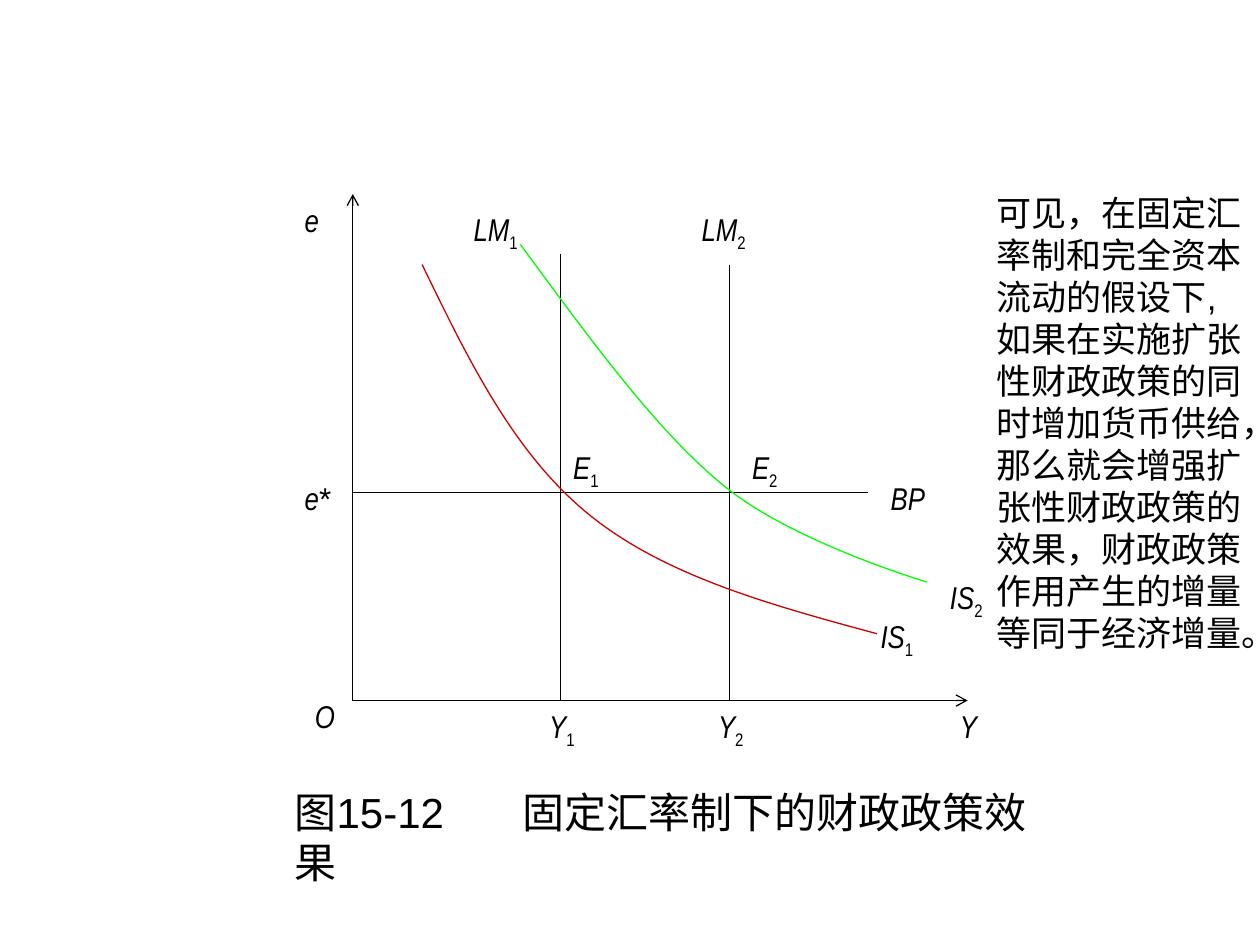
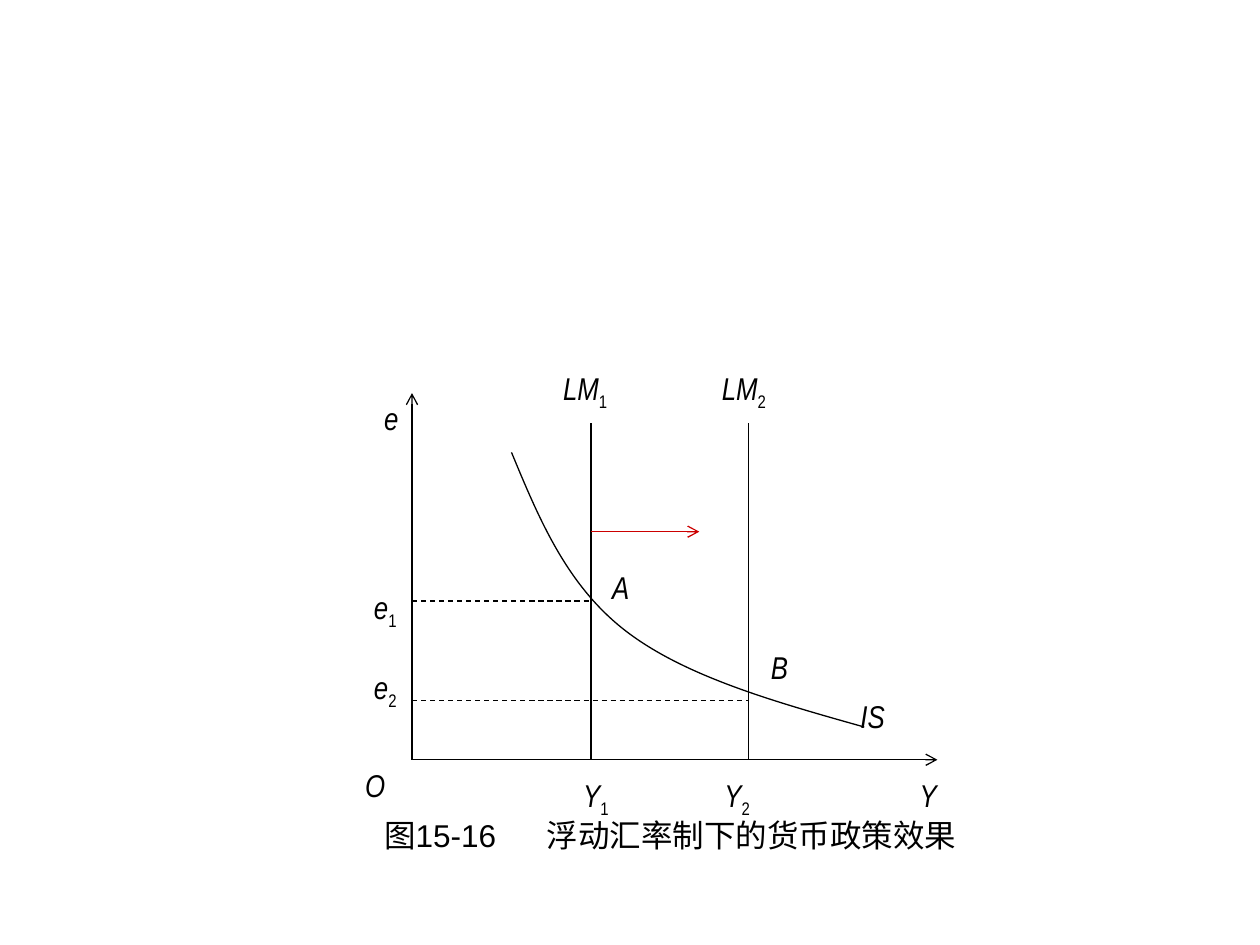
from dataclasses import dataclass

from lxml.etree import SubElement
from pptx import Presentation
from pptx.dml.color import RGBColor
from pptx.enum.dml import MSO_LINE
from pptx.enum.shapes import MSO_CONNECTOR
from pptx.enum.text import MSO_AUTO_SIZE
from pptx.oxml.ns import qn
from pptx.util import Emu, Pt

EMU_PER_PX = 9144


@dataclass(frozen=True)
class Theme:
    black: RGBColor = RGBColor(0x00, 0x00, 0x00)
    red: RGBColor = RGBColor(0xCC, 0x00, 0x00)
    green: RGBColor = RGBColor(0x00, 0xFF, 0x00)
    body_font: str = "Arial"
    label_font: str = "Arial Narrow"
    label_size: int = 18
    body_size: int = 20
    caption_size: int = 24
    line_width: float = 0.75


@dataclass(frozen=True)
class Box:
    left: int
    top: int
    width: int
    height: int

    def point(self, x, y):
        return px(self.left + x), px(self.top + y)


THEME = Theme()


def px(length):
    return Emu(length * EMU_PER_PX)


def add_text_frame(page, box):
    shape = page.shapes.add_textbox(*box.point(0, 0), px(box.width), px(box.height))
    frame = shape.text_frame
    frame.word_wrap = True
    frame.auto_size = MSO_AUTO_SIZE.SHAPE_TO_FIT_TEXT
    return frame


def style_para(para, name, size):
    para.font.name = name
    para.font.size = Pt(size)
    para.font.color.rgb = THEME.black


def add_body(page, box, text, size, tab=None):
    para = add_text_frame(page, box).paragraphs[0]
    para.text = text
    if tab:
        tabs = SubElement(para._p.get_or_add_pPr(), qn("a:tabLst"))
        SubElement(tabs, qn("a:tab"), pos=str(px(tab)), algn="l")
    style_para(para, THEME.body_font, size)


def add_label(page, plot, x, y, width, symbol, mark=""):
    box = Box(plot.left + x, plot.top + y, width, 44 if mark.isdigit() else 40)
    para = add_text_frame(page, box).paragraphs[0]
    style_para(para, THEME.label_font, THEME.label_size)
    span = para.add_run()
    span.text = symbol
    span.font.italic = True
    if mark:
        span = para.add_run()
        span.text = mark
        if mark.isdigit():
            span._r.get_or_add_rPr().set("baseline", "-25000")
        else:
            span.font.name = THEME.body_font


def style_line(line, color):
    line.color.rgb = color
    line.width = Pt(THEME.line_width)


def add_line(page, plot, start, end, color=THEME.black, arrow=False, dashed=False):
    connector = page.shapes.add_connector(
        MSO_CONNECTOR.STRAIGHT, *plot.point(*start), *plot.point(*end))
    style_line(connector.line, color)
    if dashed:
        connector.line.dash_style = MSO_LINE.DASH
    if arrow:
        SubElement(connector.line._get_or_add_ln(), qn("a:tailEnd"), type="arrow")
    SubElement(connector._element.spPr, qn("a:effectLst"))


def add_curve(page, plot, points, color=THEME.black):
    start, *rest = [plot.point(*point) for point in points]
    builder = page.shapes.build_freeform(*start)
    builder.add_line_segments(rest, close=False)
    curve = builder.convert_to_shape()
    segments = list(curve._element.iter(qn("a:lnTo")))
    outline = segments[0].getparent()
    for first in range(0, len(segments), 3):
        bezier = SubElement(outline, qn("a:cubicBezTo"))
        for segment in segments[first:first + 3]:
            bezier.append(segment[0])
            outline.remove(segment)
    curve.fill.background()
    curve.shadow.inherit = False
    style_line(curve.line, color)


def add_axes(page, plot):
    origin = (0, plot.height)
    add_line(page, plot, origin, (plot.width, plot.height), arrow=True)
    add_line(page, plot, origin, (0, 0), arrow=True)


def add_money_lines(page, plot, lines):
    for x, top in lines:
        add_line(page, plot, (x, top), (x, plot.height))


def add_labels(page, plot, labels):
    for label in labels:
        add_label(page, plot, *label)


def add_fiscal_plot(page, plot):
    add_axes(page, plot)
    add_line(page, plot, (0, 237), (409, 237))
    add_money_lines(page, plot, [(165, 48), (299, 56)])
    add_curve(page, plot, [(133, 40), (187, 113), (240, 187), (294, 231),
                           (348, 276), (456, 308), (456, 308)], THEME.green)
    add_curve(page, plot, [(55, 56), (91, 130), (127, 205), (187, 254),
                           (247, 303), (331, 326), (416, 349)], THEME.red)
    add_labels(page, plot, [
        (146, 402, 55, "Y", "1"),
        (280, 402, 55, "Y", "2"),
        (-40, 394, 39, "O"),
        (472, 402, 55, "Y"),
        (-48, 1, 31, "e"),
        (-48, 221, 47, "e", "*"),
        (417, 221, 87, "BP"),
        (409, 331, 47, "IS", "1"),
        (464, 300, 71, "IS", "2"),
        (86, 8, 71, "LM", "1"),
        (267, 8, 71, "LM", "2"),
        (165, 197, 55, "E", "1"),
        (307, 197, 55, "E", "2"),
    ])


def add_monetary_plot(page, plot):
    add_axes(page, plot)
    add_money_lines(page, plot, [(142, 24), (267, 24)])
    add_curve(page, plot, [(79, 47), (101, 100), (123, 153), (170, 189),
                           (217, 225), (288, 245), (359, 265)])
    add_line(page, plot, (142, 110), (228, 110), THEME.red, arrow=True)
    for x, y in [(142, 165), (267, 244)]:
        add_line(page, plot, (0, y), (x, y), dashed=True)
    add_labels(page, plot, [
        (-47, 291, 79, "O"),
        (393, 299, 55, "Y"),
        (-32, 0, 31, "e"),
        (-40, 213, 47, "e", "2"),
        (-40, 150, 47, "e", "1"),
        (346, 236, 55, "IS"),
        (110, -24, 79, "LM", "1"),
        (236, -24, 71, "LM", "2"),
        (126, 299, 55, "Y", "1"),
        (238, 299, 55, "Y", "2"),
        (149, 134, 39, "A"),
        (275, 197, 39, "B"),
    ])


def add_fiscal_slide(page):
    add_fiscal_plot(page, Box(280, 154, 488, 402))
    add_body(page, Box(224, 619, 630, 130), "图15-12\t固定汇率制下的财政政策效果",
             THEME.caption_size, tab=181)
    add_body(page, Box(781, 147, 219, 377),
             "可见，在固定汇率制和完全资本流动的假设下,如果在实施扩张性财政政策的同时"
             "增加货币供给，那么就会增强扩张性财政政策的效果，财政政策作用产生的增量"
             "等同于经济增量。", THEME.body_size)


def add_monetary_slide(page):
    add_monetary_plot(page, Box(327, 312, 417, 291))
    add_body(page, Box(295, 643, 480, 70), "图15-16\t浮动汇率制下的货币政策效果",
             THEME.label_size, tab=129)


def main():
    deck = Presentation()
    deck.slide_width, deck.slide_height = px(1000), px(750)
    for build in (add_fiscal_slide, add_monetary_slide):
        build(deck.slides.add_slide(deck.slide_layouts[6]))
    deck.save("out.pptx")


if __name__ == "__main__":
    main()
